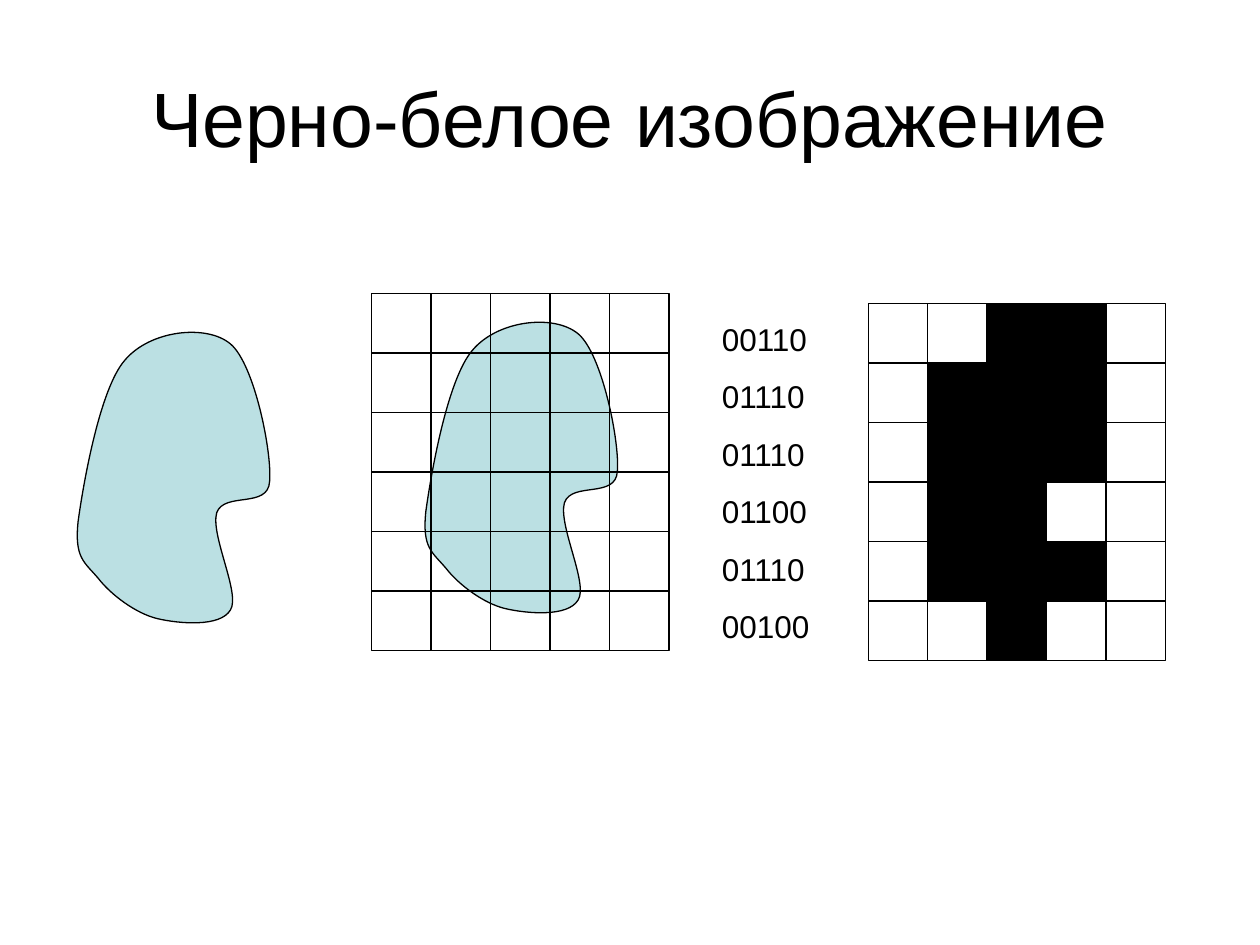
"""Builds a slide showing how a shape is turned into a black-and-white bitmap."""
from lxml import etree
from pptx import Presentation
from pptx.dml.color import RGBColor
from pptx.enum.shapes import MSO_SHAPE
from pptx.enum.text import MSO_ANCHOR, PP_ALIGN
from pptx.oxml.ns import qn
from pptx.util import Inches, Pt

RECTANGLE = MSO_SHAPE.RECTANGLE
MIDDLE, TOP = MSO_ANCHOR.MIDDLE, MSO_ANCHOR.TOP
CENTER, LEFT = PP_ALIGN.CENTER, PP_ALIGN.LEFT
BLACK = RGBColor(0x00, 0x00, 0x00)
PALE_BLUE = RGBColor(0xBB, 0xE0, 0xE3)

BITMAP = ["00110", "01110", "01110", "01100", "01110", "00100"]
CELL = Inches(2.36) / 5
OUTLINE = [
    (3.38, 4.06),
    (3.42, 3.77), (3.55, 3.01), (3.75, 2.78),
    (3.95, 2.54), (4.4, 2.49), (4.59, 2.65),
    (4.78, 2.81), (4.92, 3.51), (4.9, 3.74),
    (4.89, 3.96), (4.54, 3.82), (4.48, 3.99),
    (4.43, 4.17), (4.67, 4.63), (4.59, 4.76),
    (4.51, 4.9), (4.18, 4.87), (4.01, 4.83),
    (3.84, 4.79), (3.64, 4.64), (3.54, 4.51),
    (3.43, 4.38), (3.35, 4.35), (3.38, 4.06),
]


def style(shape, fill):
    shape.shadow.inherit = False
    shape.line.color.rgb = BLACK
    shape.line.width = Pt(0.75)
    if fill is None:
        shape.fill.background()
    else:
        shape.fill.solid()
        shape.fill.fore_color.rgb = fill


def add_text(left, top, width, height, lines, size, align, anchor):
    box = slide.shapes.add_textbox(Inches(left), Inches(top), Inches(width), Inches(height))
    frame = box.text_frame
    frame.word_wrap = True
    frame.vertical_anchor = anchor
    for index, line in enumerate(lines):
        para = frame.add_paragraph() if index else frame.paragraphs[0]
        para.alignment = align
        if index:
            para.space_before = Pt(11.2)
        span = para.add_run()
        span.text = line
        span.font.name = "Arial"
        span.font.size = Pt(size)
        span.font.color.rgb = BLACK


deck = Presentation()
deck.slide_width, deck.slide_height = Inches(10), Inches(7.5)
slide = deck.slides.add_slide(deck.slide_layouts[6])

add_text(0.5, 0.3, 9, 1.25, ["Черно-белое изображение"], 44, CENTER, MIDDLE)

for shift_x, shift_y in [(0, 0), (-2.76, 0.08)]:
    points = [(Inches(x + shift_x), Inches(y + shift_y)) for x, y in OUTLINE]
    builder = slide.shapes.build_freeform(*points[0])
    builder.add_line_segments(points[1:], close=True)
    blob = builder.convert_to_shape()
    style(blob, PALE_BLUE)
    segments = list(blob.element.iter(qn("a:lnTo")))
    for start in range(0, len(segments), 3):
        curve = etree.Element(qn("a:cubicBezTo"))
        segments[start].addprevious(curve)
        for segment in segments[start:start + 3]:
            curve.append(segment[0])
            segment.getparent().remove(segment)

for left, top, ink in [(2.95, 2.33, None), (6.89, 2.41, BLACK)]:
    for row, bits in enumerate(BITMAP):
        for column, bit in enumerate(bits):
            cell = slide.shapes.add_shape(
                RECTANGLE,
                round(Inches(left) + column * CELL), round(Inches(top) + row * CELL),
                round(CELL), round(CELL),
            )
            style(cell, ink if bit == "1" else None)

add_text(5.63, 2.49, 2.05, 2.68, BITMAP, 18, LEFT, TOP)

deck.save("out.pptx")
